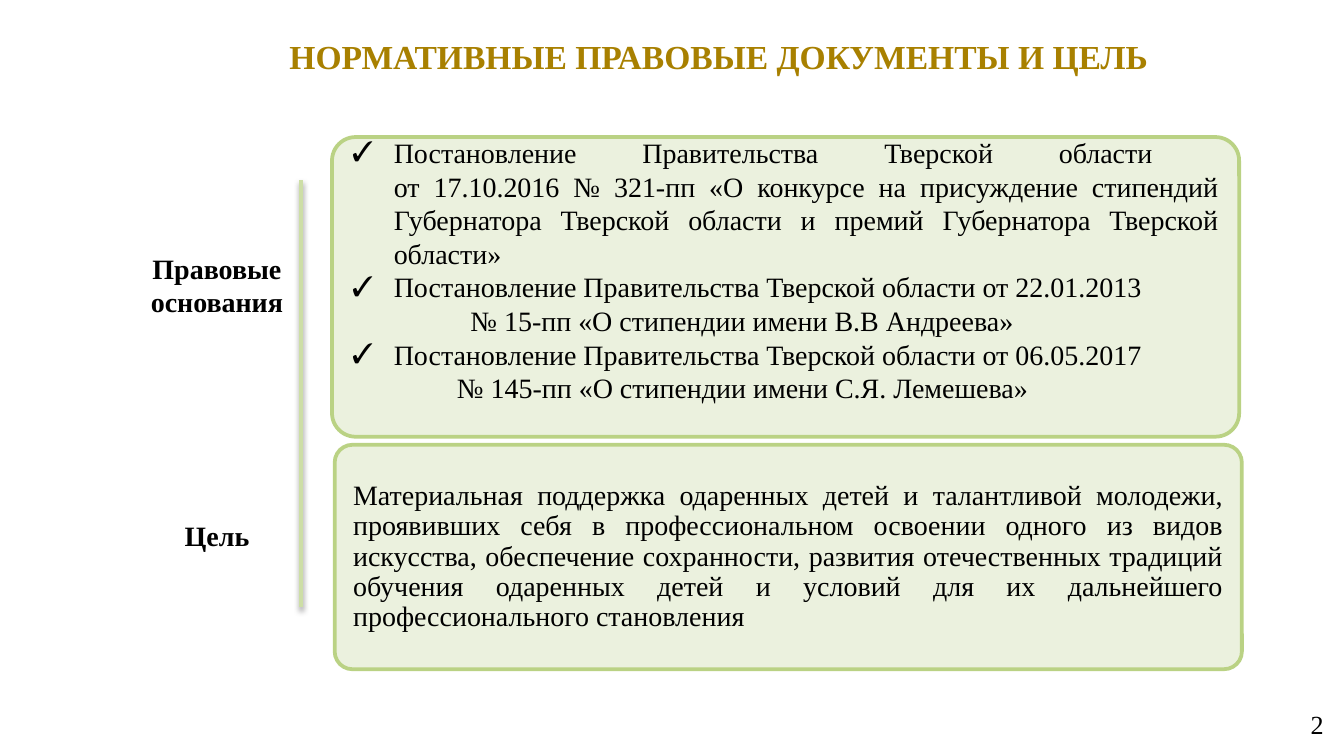
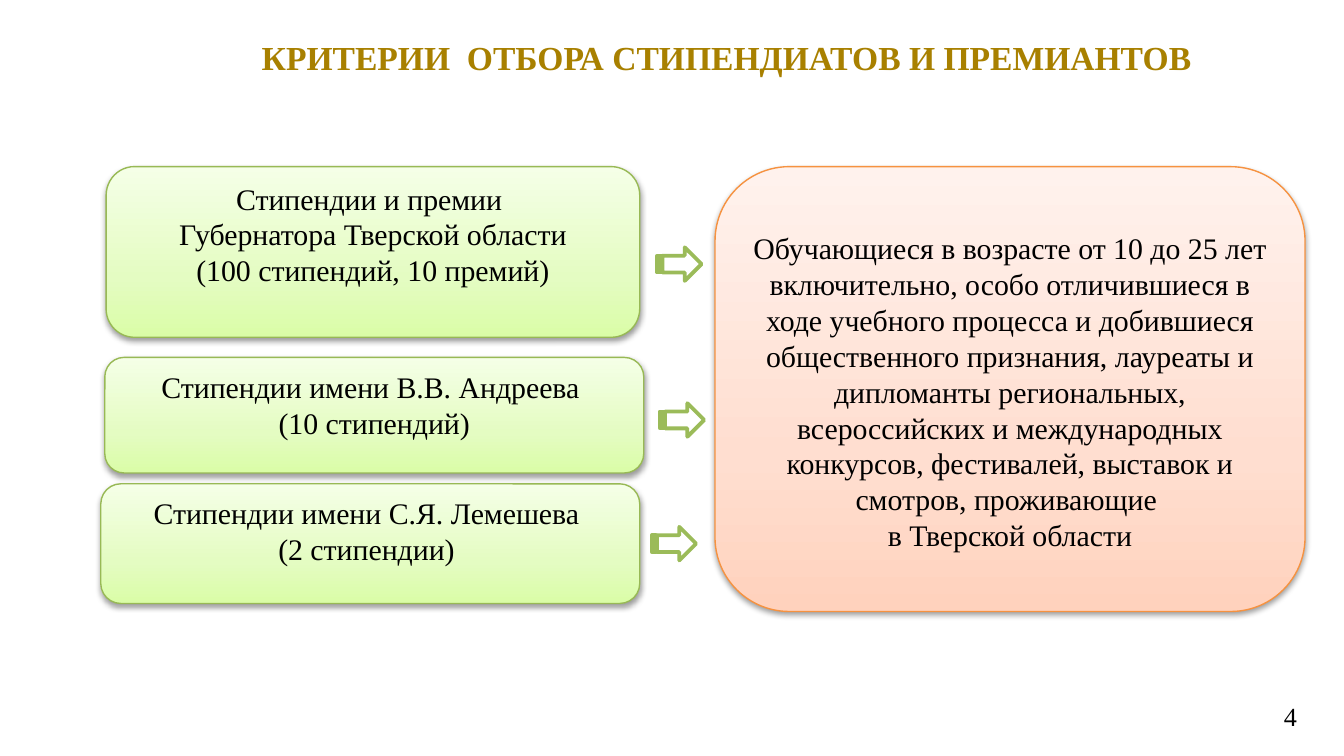
import copy

import pptx
import pptx.dml.color
import pptx.enum.shapes
import pptx.enum.text
import pptx.oxml
import pptx.oxml.ns
import pptx.util

Inches = pptx.util.Inches
Pt = pptx.util.Pt
RGBColor = pptx.dml.color.RGBColor
Shape = pptx.enum.shapes.MSO_SHAPE
Align = pptx.enum.text.PP_ALIGN
Anchor = pptx.enum.text.MSO_ANCHOR
qn = pptx.oxml.ns.qn

# Shared look
FONT = "Times New Roman"
BLACK = RGBColor(0x00, 0x00, 0x00)
WHITE = RGBColor(0xFF, 0xFF, 0xFF)
GOLD = RGBColor(0xA8, 0x80, 0x00)
PANEL_FILL = RGBColor(0xEB, 0xF1, 0xDE)
PANEL_LINE = RGBColor(0xBA, 0xD2, 0x84)
DIVIDER = RGBColor(0xCD, 0xDE, 0xA6)
ARROW_LINE = RGBColor(0x9B, 0xBB, 0x59)
GREEN_LINE = RGBColor(0x98, 0xB9, 0x55)
ORANGE_LINE = RGBColor(0xF6, 0x92, 0x40)
GREEN_STOPS = (RGBColor(0xDA, 0xFD, 0xA7), RGBColor(0xE4, 0xFC, 0xC2),
               RGBColor(0xF5, 0xFF, 0xE7))
ORANGE_STOPS = (RGBColor(0xFF, 0xD2, 0xBD), RGBColor(0xFF, 0xDE, 0xD0),
                RGBColor(0xFF, 0xF2, 0xED))
STOP_POSITIONS = (0, 0.35, 1)

PANEL_INSETS = (0.1, 0.05, 0.1, 0.05)
CARD_INSETS = (0.08, 0.04, 0.08, 0.04)
NUMBER_INSETS = (0.07, 0.04, 0.07, 0.04)
TITLE_INSETS = (0.06, 0.03, 0.06, 0.03)
BULLET_INDENT = 0.31

# Documents: bulleted text, then an optional continuation line and its indent
DOCUMENTS = (
    ("Постановление Правительства Тверской области \vот 17.10.2016 № 321-пп "
     "«О конкурсе на присуждение стипендий Губернатора Тверской области "
     "и премий Губернатора Тверской области»", None, 0),
    ("Постановление Правительства Тверской области от 22.01.2013",
     "№ 15-пп «О стипендии имени В.В Андреева»", 0.88),
    ("Постановление Правительства Тверской области от 06.05.2017",
     "№ 145-пп «О стипендии имени С.Я. Лемешева»", 0.78),
)
GOAL = ("Материальная поддержка одаренных детей и талантливой молодежи, "
        "проявивших себя в профессиональном освоении одного из видов искусства, "
        "обеспечение сохранности, развития отечественных традиций обучения "
        "одаренных детей и условий для их дальнейшего профессионального "
        "становления")

# Awards: box, arrow position, lines
AWARDS = (
    ((0.79, 1.24, 3.97, 1.27), (4.89, 1.84),
     ("Стипендии и премии ",
      "Губернатора Тверской области\v(100 стипендий, 10 премий)")),
    ((0.78, 2.66, 4.01, 0.86), (4.91, 3.0),
     ("Стипендии имени В.В. Андреева ", "(10 стипендий)")),
    ((0.75, 3.6, 4.01, 0.89), (4.85, 3.92),
     ("Стипендии имени С.Я. Лемешева ", "(2 стипендии) ")),
)
REQUIREMENTS = (
    "Обучающиеся в возрасте от 10 до 25 лет включительно, особо отличившиеся "
    "в ходе учебного процесса и добившиеся общественного признания, лауреаты "
    "и дипломанты региональных, всероссийских и международных конкурсов, "
    "фестивалей, выставок и смотров, проживающие ",
    "в Тверской области",
)


def write(shape, lines, size, align=Align.CENTER, color=BLACK, bold=False,
          insets=PANEL_INSETS, anchor=Anchor.TOP, spacing=None):
    """Fill a shape with one paragraph per line and return the paragraphs."""
    frame = shape.text_frame
    frame.word_wrap = True
    frame.vertical_anchor = anchor
    (frame.margin_left, frame.margin_top,
     frame.margin_right, frame.margin_bottom) = map(Inches, insets)
    for index, line in enumerate(lines):
        paragraph = frame.add_paragraph() if index else frame.paragraphs[0]
        paragraph.text = line
        paragraph.alignment = align
        if spacing:
            paragraph.line_spacing = spacing
        paragraph.font.name = FONT
        paragraph.font.size = Pt(size)
        paragraph.font.bold = bold
        paragraph.font.color.rgb = color
    return frame.paragraphs


def add_text(slide, box, text, size, **style):
    write(slide.shapes.add_textbox(*map(Inches, box)), [text], size, **style)


def add_title(slide, box, text, **style):
    add_text(slide, box, text, 18, color=GOLD, bold=True,
             insets=TITLE_INSETS, **style)


def add_page_number(slide, box, number):
    add_text(slide, box, number, 14, align=Align.RIGHT, insets=NUMBER_INSETS)


def add_preset(slide, kind, box, line=None, width=2, fill=None):
    shape = slide.shapes.add_shape(kind, *map(Inches, box))
    shape.shadow.inherit = False
    if fill is None:
        shape.fill.background()
    else:
        shape.fill.solid()
        shape.fill.fore_color.rgb = fill
    if line is None:
        shape.line.fill.background()
    else:
        shape.line.color.rgb = line
        shape.line.width = Pt(width)
    return shape


def add_rounded(slide, box, radius, **look):
    shape = add_preset(slide, Shape.ROUNDED_RECTANGLE, box, **look)
    shape.adjustments[0] = radius
    return shape


def add_label(slide, box, text, insets=PANEL_INSETS):
    label = add_rounded(slide, box, 0.079)
    write(label, [text], 15, bold=True, insets=insets, anchor=Anchor.MIDDLE)


def add_panel(slide, box, lines, **style):
    panel = add_rounded(slide, box, 0.079, line=PANEL_LINE, fill=PANEL_FILL)
    return write(panel, lines, 15, align=Align.JUSTIFY,
                 anchor=Anchor.MIDDLE, **style)


def indent(paragraph, left, bullet=None):
    """Indent a paragraph, hanging its bullet if it has one."""
    properties = paragraph._p.get_or_add_pPr()
    properties.set("marL", str(Inches(left)))
    properties.set("indent", str(Inches(-left if bullet else 0)))
    if bullet:
        # Bullet elements have to precede the default run properties
        run_defaults = properties.find(qn("a:defRPr"))
        for tag, attribute in (("buFont", f'typeface="{FONT}"'),
                               ("buChar", f'char="{bullet}"')):
            run_defaults.addprevious(pptx.oxml.parse_xml(
                f'<a:{tag} {pptx.oxml.ns.nsdecls("a")} {attribute}/>'))


def add_shadow(shape):
    properties = shape._element.spPr
    for effects in properties.findall(qn("a:effectLst")):
        properties.remove(effects)
    properties.append(pptx.oxml.parse_xml(
        f'<a:effectLst {pptx.oxml.ns.nsdecls("a")}>'
        f'<a:outerShdw blurRad="{Pt(3.1)}" dist="{Pt(1.6)}" dir="5400000" '
        'rotWithShape="0"><a:srgbClr val="000000"><a:alpha val="38000"/>'
        '</a:srgbClr></a:outerShdw></a:effectLst>'))


def add_card(slide, box, lines, line, stops, insets=CARD_INSETS):
    """Rounded card with a three-stop gradient, darkest at the bottom."""
    card = add_rounded(slide, box, 0.167, line=line, width=0.75)
    card.fill.gradient()
    card.fill.gradient_angle = 90
    stop_list = card._element.spPr.find(".//" + qn("a:gsLst"))
    stop_list.insert(1, copy.deepcopy(stop_list[0]))
    for stop, position, color in zip(card.fill.gradient_stops,
                                     STOP_POSITIONS, stops):
        stop.position = position
        stop.color.rgb = color
    add_shadow(card)
    write(card, lines, 16, insets=insets)


def add_divider(slide, x, top, bottom):
    divider = slide.shapes.add_connector(
        pptx.enum.shapes.MSO_CONNECTOR.STRAIGHT,
        *map(Inches, (x, bottom, x, top)))
    divider.line.color.rgb = DIVIDER
    divider.line.width = Pt(2)
    add_shadow(divider)


def build_documents(slide):
    add_page_number(slide, (9.68, 5.23, 0.24, 0.3), "2")
    add_title(slide, (0.9, 0.06, 8.9, 0.72),
              "НОРМАТИВНЫЕ ПРАВОВЫЕ ДОКУМЕНТЫ И ЦЕЛЬ", anchor=Anchor.MIDDLE)

    # Row labels
    add_label(slide, (0.76, 3.55, 1.71, 0.87), "Цель")
    add_label(slide, (0.6, 1.49, 2.03, 1.19), "Правовые основания",
              insets=(0.1, 0.12, 0.1, 0.05))

    # Panels
    add_panel(slide, (2.49, 3.31, 6.75, 1.67), [GOAL], spacing=0.9)
    rows = []
    for text, continuation, left in DOCUMENTS:
        rows.append((text, BULLET_INDENT, "✓"))
        if continuation:
            rows.append((continuation, left, None))
    paragraphs = add_panel(slide, (2.47, 1.02, 6.75, 2.23),
                           [row[0] for row in rows],
                           insets=(0.1, 0.05, 0.1, 0.3))
    for paragraph, (_, left, bullet) in zip(paragraphs, rows):
        indent(paragraph, left, bullet)

    add_divider(slide, 2.24, 1.34, 4.52)


def build_criteria(slide):
    add_page_number(slide, (7.97, 5.17, 1.75, 0.3), "4")
    add_title(slide, (0.81, 0.28, 9.26, 0.34),
              "КРИТЕРИИ  ОТБОРА СТИПЕНДИАТОВ И ПРЕМИАНТОВ ", spacing=0.9)

    # Awards, each pointing at the requirements
    for box, arrow, lines in AWARDS:
        add_card(slide, box, lines, GREEN_LINE, GREEN_STOPS)
        add_preset(slide, Shape.STRIPED_RIGHT_ARROW, (*arrow, 0.33, 0.25),
                   line=ARROW_LINE, fill=WHITE)
    add_card(slide, (5.32, 1.24, 4.39, 3.31), REQUIREMENTS, ORANGE_LINE,
             ORANGE_STOPS, insets=(0.08, 0.31, 0.08, 0.04))


def main():
    presentation = pptx.Presentation()
    # Widescreen, 16:9
    presentation.slide_width = Inches(10)
    presentation.slide_height = Inches(10 * 9 / 16)
    blank = presentation.slide_layouts[6]
    for build in (build_documents, build_criteria):
        build(presentation.slides.add_slide(blank))
    presentation.save("out.pptx")


if __name__ == "__main__":
    main()
